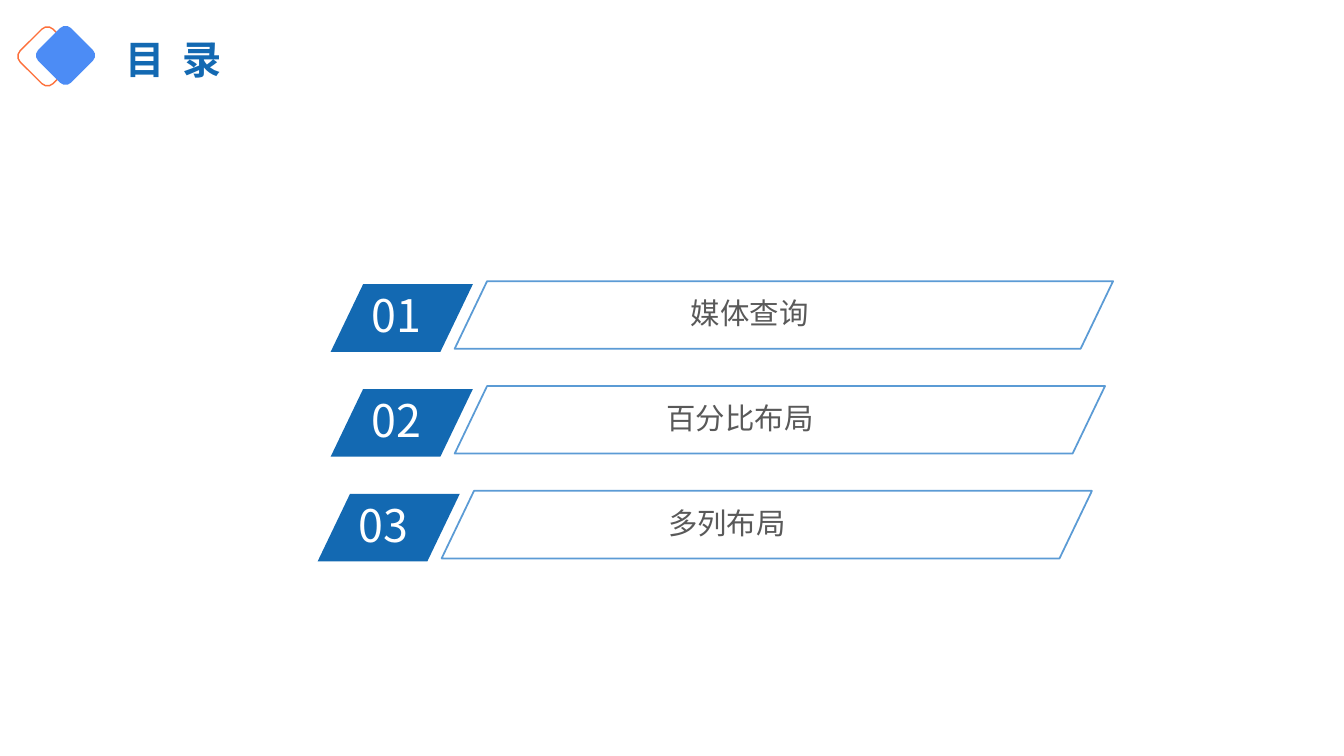
from lxml.etree import SubElement
from pptx import Presentation
from pptx.dml.color import RGBColor
from pptx.enum.shapes import MSO_SHAPE
from pptx.enum.text import PP_ALIGN
from pptx.oxml.ns import qn
from pptx.util import Inches, Pt

FONT = "Noto Sans CJK SC"
BLUE = "1369B2"
ROW_TOP, ROW_PITCH, ROW_HEIGHT = 2.79, 1.04, 0.67

# number, label, row left, panel width, label offset, label width
ENTRIES = [
    ("01", "媒体查询", 3.28, 6.53, 1.69, 4.93),
    ("02", "百分比布局", 3.28, 6.45, 1.39, 5.34),
    ("03", "多列布局", 3.15, 6.45, 1.39, 5.34),
]


def color(value):
    return RGBColor.from_string(value)


def add_outline(page, kind, box, fill=None, line=None, width=1):
    shape = page.shapes.add_shape(kind, *map(Inches, box))
    shape.shadow.inherit = False
    if fill:
        shape.fill.solid()
        shape.fill.fore_color.rgb = color(fill)
    else:
        shape.fill.background()
    if line:
        shape.line.color.rgb = color(line)
        shape.line.width = Pt(width)
    else:
        shape.line.fill.background()
    return shape


def add_text(page, box, text, size, ink, bold=False, align=PP_ALIGN.LEFT):
    frame = page.shapes.add_textbox(*map(Inches, box)).text_frame
    frame.word_wrap = True
    para = frame.paragraphs[0]
    para.text = text
    para.alignment = align
    para.font.name = FONT
    para.font.size = Pt(size)
    para.font.bold = bold
    para.font.color.rgb = color(ink)
    # East Asian typeface
    SubElement(para.font._rPr, qn("a:ea")).set("typeface", FONT)
    return frame


def add_header(page, left, top):
    # Overlapping diamonds
    for dx, dy, fill, line in [(0, 0.01, None, "FD703B"), (0.18, 0, "4C8CF5", None)]:
        diamond = add_outline(page, MSO_SHAPE.ROUNDED_RECTANGLE,
                              (left + dx, top + dy, 0.46, 0.46), fill, line)
        diamond.rotation = 45
    # Title, with letter spacing for the wide gap
    frame = add_text(page, (left + 0.91, top + 0.03, 4.44, 0.52), "目 录", 28, BLUE, bold=True)
    title = frame.paragraphs[0]
    title.line_spacing = 0.9
    title.font._rPr.set("spc", "300")


def add_entry(page, top, number, label, left, panel_width, label_offset, label_width):
    # Number tag
    tag = add_outline(page, MSO_SHAPE.PARALLELOGRAM,
                      (left, top + 0.03, 1.41, ROW_HEIGHT), fill=BLUE)
    add_text(page, (left + 0.31, top + 0.02, 1.12, 0.64), number, 32, "FFFFFF")
    # Label and its panel
    frame = add_text(page, (left + label_offset, top + 0.1, label_width, 0.43),
                     label, 21, "595959", align=PP_ALIGN.CENTER)
    frame.margin_left = frame.margin_right = Inches(0.07)
    frame.margin_top = frame.margin_bottom = Inches(0.04)
    panel = add_outline(page, MSO_SHAPE.PARALLELOGRAM,
                        (left + 1.23, top, panel_width, ROW_HEIGHT), line="5B9BD5", width=1.25)
    for slanted in (tag, panel):
        slanted.adjustments[0] = 0.48


def main():
    deck = Presentation()
    deck.slide_width, deck.slide_height = Inches(13.33), Inches(7.5)
    page = deck.slides.add_slide(deck.slide_layouts[6])
    add_header(page, 0.24, 0.32)
    for index, entry in enumerate(ENTRIES):
        add_entry(page, ROW_TOP + index * ROW_PITCH, *entry)
    deck.save("out.pptx")


if __name__ == "__main__":
    main()
